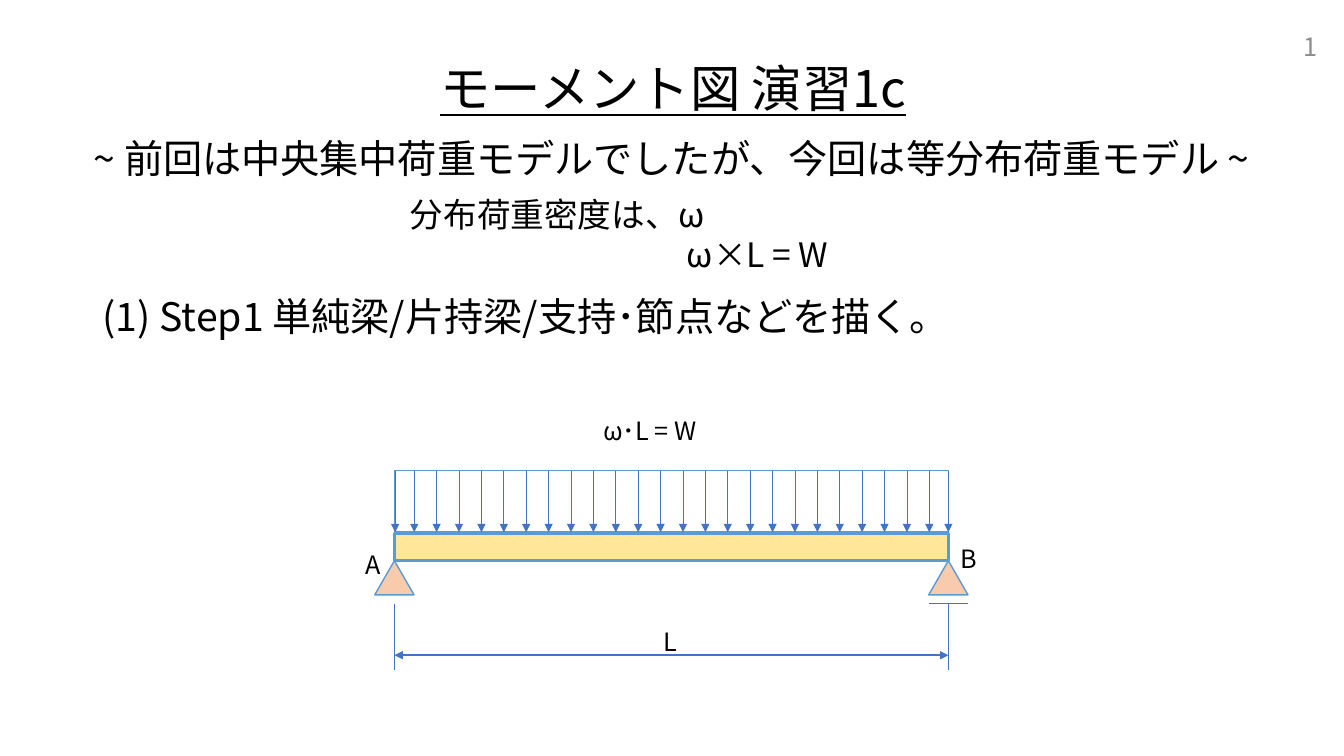
from lxml.etree import SubElement
from pptx import Presentation
from pptx.dml.color import RGBColor
from pptx.enum.shapes import MSO_CONNECTOR, MSO_SHAPE
from pptx.enum.text import MSO_ANCHOR, PP_ALIGN
from pptx.oxml.ns import qn
from pptx.util import Cm, Pt

FONT = "Noto Sans CJK JP"
BLACK, GREY = "000000", "8C8C8C"
EDGE, ARROW, BEAM, SUPPORT = "5B9BD5", "4472C4", "FFE699", "F8CBAD"

# Text, place (left, top, width, height in cm), format
HEADINGS = [
    ("1", (25.83, 0.66, 7.62, 1.02),
     dict(color=GREY, align=PP_ALIGN.RIGHT, anchor=MSO_ANCHOR.MIDDLE)),
    ("(1) Step1 単純梁/片持梁/支持･節点などを描く。", (2.34, 7.37, 29.21, 9.8),
     dict(size=28, spacing=0.9, before=10)),
    ("モーメント図 演習1c", (5.54, 0.71, 22.86, 3.18),
     dict(size=36, spacing=0.9, underline=True, align=PP_ALIGN.CENTER, anchor=MSO_ANCHOR.MIDDLE)),
    ("~ 前回は中央集中荷重モデルでしたが、今回は等分布荷重モデル ~", (0.81, 2.46, 32.23, 3.18),
     dict(size=28, spacing=0.9, align=PP_ALIGN.CENTER, anchor=MSO_ANCHOR.MIDDLE)),
    ("分布荷重密度は、ω\nω×L = W", (10.08, 4.75, 11.48, 2.31),
     dict(size=24, indents=(0, 6.98))),
]
LABELS = [
    (" ω･L = W", (14.81, 10.34, 3.45, 1.02)),
    ("A", (8.97, 13.72, 0.91, 1.02)),
    ("B", (23.95, 13.56, 0.94, 1.02)),
    ("L", (16.48, 15.65, 0.89, 1.02)),
]

# Beam geometry in cm
BEAM_LEFT, BEAM_RIGHT, BEAM_TOP, BEAM_HEIGHT = 9.94, 23.9, 13.44, 0.69
SPAN = BEAM_RIGHT - BEAM_LEFT
BEAM_BOTTOM = BEAM_TOP + BEAM_HEIGHT
LOAD_TOP, LOAD_HEIGHT = 11.86, 1.55
SUPPORT_WIDTH, SUPPORT_HEIGHT = 0.99, 0.86
GROUND, DIMENSION, EXTENSION_END = 15.21, 16.51, 16.89
INNER_LEFT, INNER_RIGHT, INNER_COUNT = 10.44, 23.42, 24


def rgb(color):
    """Turn a hex string into a colour."""
    return RGBColor.from_string(color)


def add_text(page, text, place, size=18, color=BLACK, align=PP_ALIGN.LEFT, anchor=MSO_ANCHOR.TOP,
             spacing=None, before=0, underline=None, indents=(0,), wrap=True):
    """Add a text box with one paragraph per line of text."""
    box = page.shapes.add_textbox(*map(Cm, place))
    frame = box.text_frame
    frame.word_wrap, frame.vertical_anchor = wrap, anchor
    frame.text = text
    for para, indent in zip(frame.paragraphs, indents):
        para.alignment, para.line_spacing, para.space_before = align, spacing, Pt(before)
        properties = para._p.get_or_add_pPr()
        properties.set("marL", str(Cm(indent)))
        for span in para.runs:
            span.font.size, span.font.name, span.font.underline = Pt(size), FONT, underline
            span.font.color.rgb = rgb(color)
            SubElement(span._r.get_or_add_rPr(), qn("a:ea"), typeface=FONT)


def add_shape(page, kind, place, fill, width):
    """Add an outlined shape, filled when a colour is given."""
    shape = page.shapes.add_shape(kind, *map(Cm, place))
    shape.shadow.inherit = False
    if fill:
        shape.fill.solid()
        shape.fill.fore_color.rgb = rgb(fill)
    else:
        shape.fill.background()
    shape.line.color.rgb, shape.line.width = rgb(EDGE), Pt(width)


def add_line(page, start, end, width=0.5, heads=()):
    """Add a straight line; heads names the ends that carry an arrowhead."""
    line = page.shapes.add_connector(MSO_CONNECTOR.STRAIGHT, *map(Cm, start + end))
    line.line.color.rgb, line.line.width = rgb(ARROW), Pt(width)
    for head in heads:
        SubElement(line.line._get_or_add_ln(), qn("a:" + head), type="triangle")
    SubElement(line._element.spPr, qn("a:effectLst"))


def add_beam(page):
    """Draw the beam, its supports and the dimension line."""
    add_shape(page, MSO_SHAPE.RECTANGLE, (BEAM_LEFT, BEAM_TOP, SPAN, BEAM_HEIGHT), BEAM, 2.25)
    half = SUPPORT_WIDTH / 2
    for end in (BEAM_LEFT, BEAM_RIGHT):
        add_shape(page, MSO_SHAPE.ISOSCELES_TRIANGLE,
                  (end - half, BEAM_BOTTOM, SUPPORT_WIDTH, SUPPORT_HEIGHT), SUPPORT, 1)
        add_line(page, (end, GROUND), (end, EXTENSION_END))
    add_line(page, (BEAM_RIGHT - half, GROUND), (BEAM_RIGHT + half, GROUND))
    add_line(page, (BEAM_LEFT, DIMENSION), (BEAM_RIGHT, DIMENSION), 1.5, ("headEnd", "tailEnd"))


def add_load(page):
    """Draw the uniform load as a frame with evenly spaced arrows."""
    add_shape(page, MSO_SHAPE.RECTANGLE, (BEAM_LEFT, LOAD_TOP, SPAN, LOAD_HEIGHT), None, 1)
    step = (INNER_RIGHT - INNER_LEFT) / (INNER_COUNT - 1)
    inner = [INNER_LEFT + step * index for index in range(INNER_COUNT)]
    for x in [BEAM_LEFT + 0.02, *inner, BEAM_RIGHT]:
        add_line(page, (x, LOAD_TOP), (x, LOAD_TOP + LOAD_HEIGHT), heads=("tailEnd",))


deck = Presentation()
deck.slide_width, deck.slide_height = Cm(33.87), Cm(19.05)
page = deck.slides.add_slide(deck.slide_layouts[6])
for text, place, style in HEADINGS:
    add_text(page, text, place, **style)
add_beam(page)
add_load(page)
for text, place in LABELS:
    add_text(page, text, place, wrap=False)
deck.save("out.pptx")
